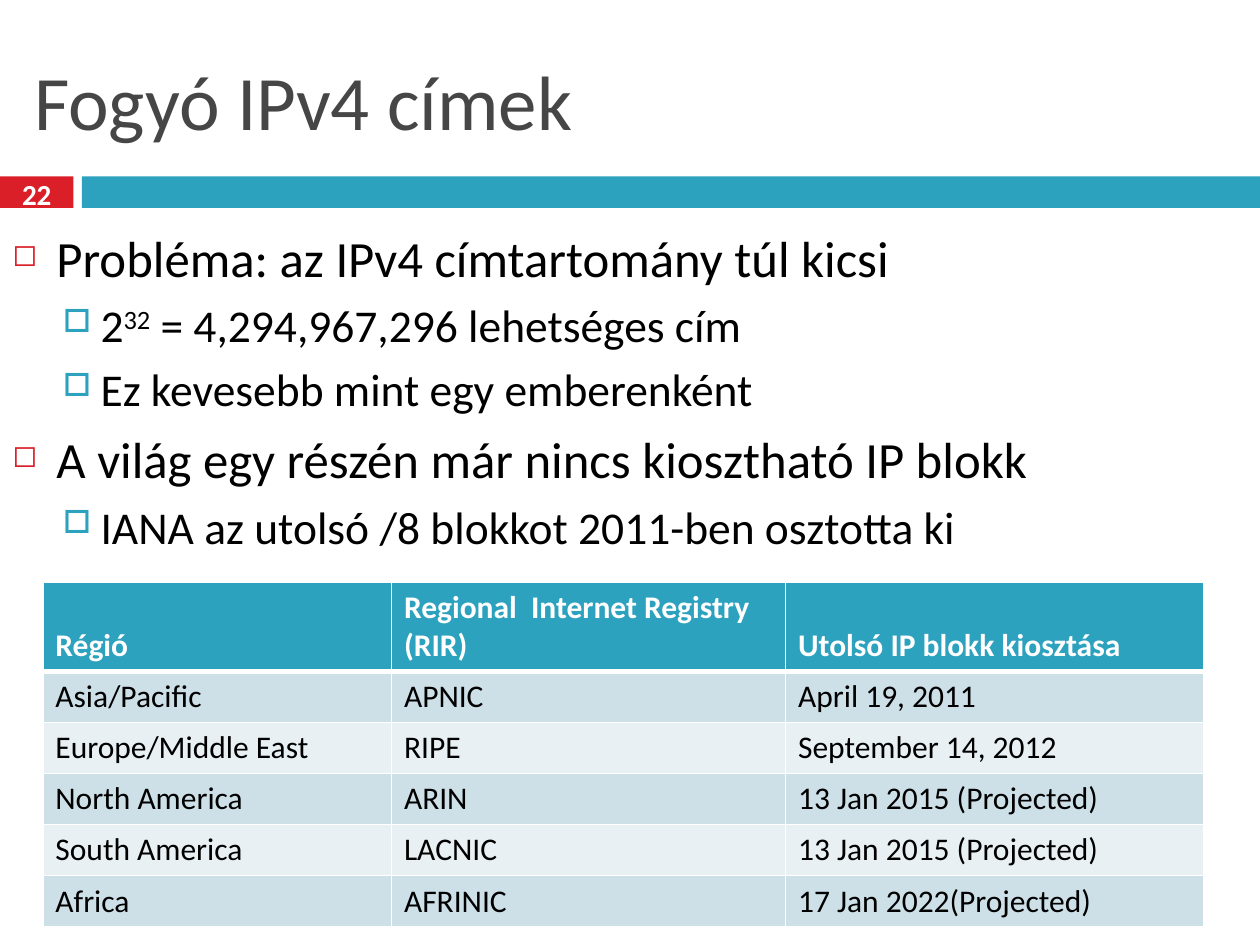
from dataclasses import dataclass
from typing import Any

from lxml.etree import SubElement
from pptx import Presentation
from pptx.dml.color import RGBColor
from pptx.enum.shapes import MSO_SHAPE
from pptx.enum.text import MSO_ANCHOR, MSO_AUTO_SIZE, PP_ALIGN
from pptx.oxml.ns import qn
from pptx.util import Pt


@dataclass(frozen=True)
class Theme:
    font: str = "Calibri"
    red: str = "DA1F28"
    teal: str = "2DA2BF"
    gray: str = "464646"
    black: str = "000000"
    white: str = "FFFFFF"
    bands: tuple[str, str] = ("CDE0E8", "E8F0F4")
    title: float = 44
    number: float = 16.6
    cell: float = 18
    items: tuple[float, float] = (29, 26)


@dataclass(frozen=True)
class Level:
    size: float
    indent: float
    hang: float
    before: float
    mark: str
    tint: str
    scale: int


@dataclass(frozen=True)
class Item:
    level: int
    texts: tuple[str, ...]


@dataclass(frozen=True)
class Bar:
    left: float
    width: float
    fill: str


THEME = Theme()
LEVELS = (
    Level(THEME.items[0], 25.2, 25.2, 7, "◻", THEME.red, 60),
    Level(THEME.items[1], 50.4, 21.6, 5.5, "□", THEME.teal, 70),
)
ITEMS = (
    Item(0, ("Probléma: az IPv4 címtartomány túl kicsi",)),
    Item(1, ("2", "^32", " = 4,294,967,296 lehetséges cím")),
    Item(1, ("Ez kevesebb mint egy emberenként",)),
    Item(0, ("A világ egy részén már nincs kiosztható IP blokk",)),
    Item(1, ("IANA az utolsó /8 blokkot 2011-ben osztotta ki",)),
)
BARS = (Bar(0, 42, THEME.red), Bar(46.8, 673.2, THEME.teal))
COLS = (199.2, 225.2, 238.8)
ROWS = (
    ("Régió", "Regional  Internet Registry (RIR)", "Utolsó IP blokk kiosztása"),
    ("Asia/Pacific", "APNIC", "April 19, 2011"),
    ("Europe/Middle East", "RIPE", "September 14, 2012"),
    ("North America", "ARIN", "13 Jan 2015 (Projected)"),
    ("South America", "LACNIC", "13 Jan 2015 (Projected)"),
    ("Africa", "AFRINIC", "17 Jan 2022(Projected)"),
)


def write(para: Any, text: str, *, size: float, color: str = THEME.black,
          bold: bool = False, raised: bool = False,
          align: PP_ALIGN = PP_ALIGN.LEFT) -> None:
    para.alignment = align
    run = para.add_run()
    run.text = text
    font = run.font
    font.name, font.size, font.bold = THEME.font, Pt(size), bold
    font.color.rgb = RGBColor.from_string(color)
    if raised:
        run._r.get_or_add_rPr().set("baseline", "30000")


def add_bar(slide: Any, bar: Bar) -> None:
    shape = slide.shapes.add_shape(
        MSO_SHAPE.RECTANGLE, Pt(bar.left), Pt(100.8), Pt(bar.width), Pt(18))
    shape.shadow.inherit = False
    shape.fill.solid()
    shape.fill.fore_color.rgb = RGBColor.from_string(bar.fill)
    shape.line.fill.background()


def add_title(slide: Any, text: str) -> None:
    title = slide.shapes.title
    title.left, title.top = Pt(12.24), Pt(18)
    title.width, title.height = Pt(696), Pt(78)
    frame = title.text_frame
    frame.auto_size = MSO_AUTO_SIZE.NONE
    frame.vertical_anchor = MSO_ANCHOR.MIDDLE
    write(frame.paragraphs[0], text, size=THEME.title, color=THEME.gray)


def add_number(slide: Any, text: str) -> None:
    frame = slide.shapes.add_textbox(Pt(0), Pt(98.64), Pt(42), Pt(24)).text_frame
    frame.word_wrap = True
    frame.vertical_anchor = MSO_ANCHOR.MIDDLE
    write(frame.paragraphs[0], text, size=THEME.number, color=THEME.white,
          bold=True, align=PP_ALIGN.CENTER)


def add_mark(para: Any, level: Level) -> None:
    props = para._p.get_or_add_pPr()
    props.set("marL", str(Pt(level.indent)))
    props.set("indent", str(-Pt(level.hang)))
    tint = SubElement(props, qn("a:buClr"))
    SubElement(tint, qn("a:srgbClr"), val=level.tint)
    SubElement(props, qn("a:buSzPct"), val=str(level.scale * 1000))
    SubElement(props, qn("a:buChar"), char=level.mark)


def add_list(slide: Any, items: tuple[Item, ...]) -> None:
    frame = slide.shapes.add_textbox(Pt(0), Pt(126), Pt(720), Pt(204)).text_frame
    frame.word_wrap = True
    for index, item in enumerate(items):
        para = frame.add_paragraph() if index else frame.paragraphs[0]
        level = LEVELS[item.level]
        para.level = item.level
        para.space_before = Pt(level.before if index else 0)
        add_mark(para, level)
        for text in item.texts:
            write(para, text.removeprefix("^"), size=level.size,
                  raised=text.startswith("^"))


def add_edge(cell: Any, side: str, width: float) -> None:
    line = SubElement(cell._tc.get_or_add_tcPr(), qn(f"a:ln{side}"),
                      w=str(Pt(width)))
    fill = SubElement(line, qn("a:solidFill"))
    SubElement(fill, qn("a:srgbClr"), val=THEME.white)


def add_grid(slide: Any, rows: tuple[tuple[str, ...], ...]) -> None:
    table = slide.shapes.add_table(
        len(rows), len(COLS), Pt(24.5), Pt(332.64), Pt(sum(COLS)), Pt(197)).table
    for col, width in zip(table.columns, COLS):
        col.width = Pt(width)
    for r, texts in enumerate(rows):
        head = r == 0
        table.rows[r].height = Pt(51 if head else 29.2)
        for c, text in enumerate(texts):
            cell = table.cell(r, c)
            for side in "LRTB":
                thick = (head and side == "B") or (r == 1 and side == "T")
                add_edge(cell, side, 3 if thick else 1)
            cell.fill.solid()
            cell.fill.fore_color.rgb = RGBColor.from_string(
                THEME.teal if head else THEME.bands[(r - 1) % 2])
            cell.vertical_anchor = MSO_ANCHOR.BOTTOM if head else MSO_ANCHOR.TOP
            write(cell.text_frame.paragraphs[0], text, size=THEME.cell, bold=head,
                  color=THEME.white if head else THEME.black)


def main() -> None:
    deck = Presentation()
    deck.slide_width, deck.slide_height = Pt(720), Pt(540)
    slide = deck.slides.add_slide(deck.slide_layouts[5])
    for bar in BARS:
        add_bar(slide, bar)
    add_title(slide, "Fogyó IPv4 címek")
    add_number(slide, "22")
    add_list(slide, ITEMS)
    add_grid(slide, ROWS)
    deck.save("out.pptx")


if __name__ == "__main__":
    main()
